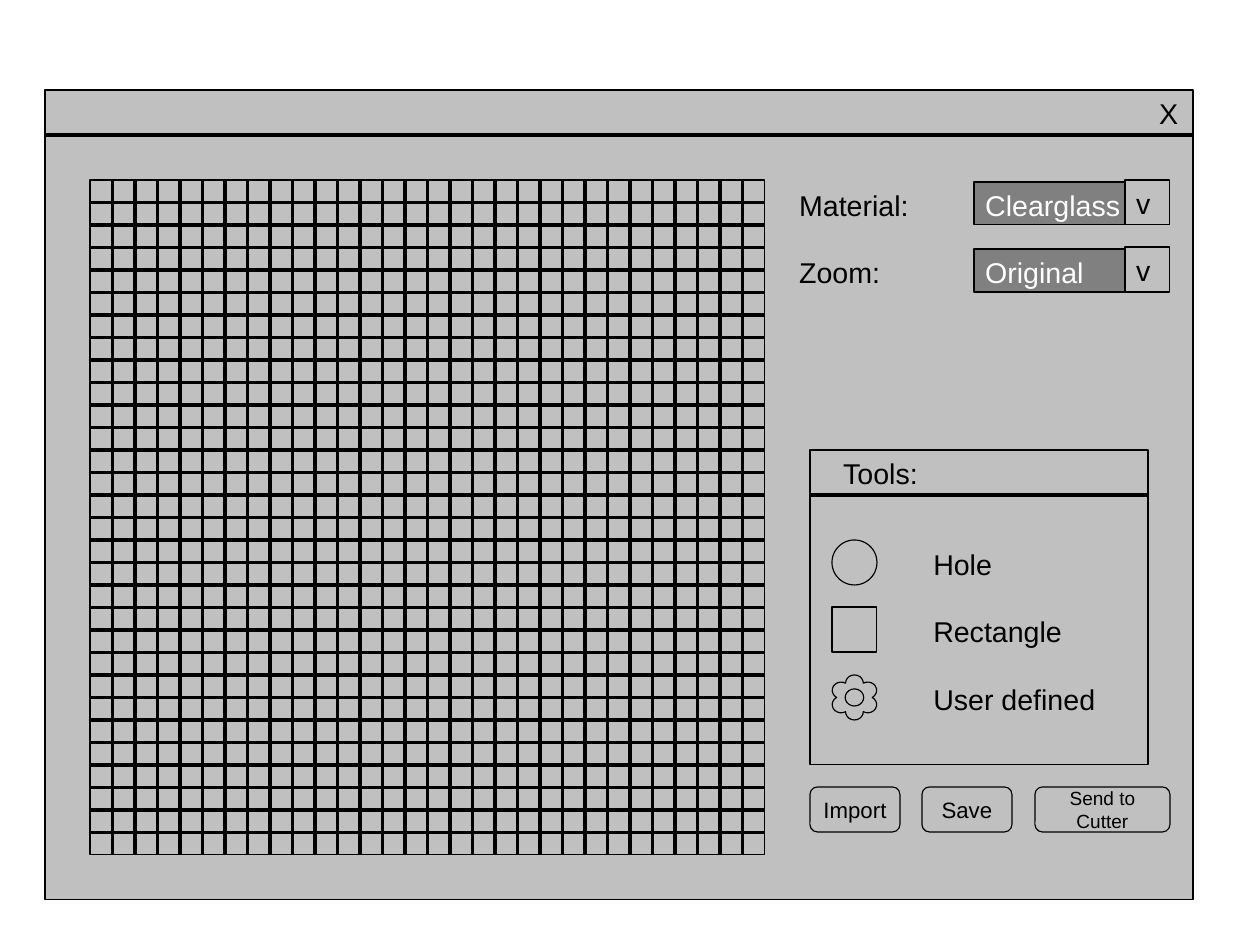
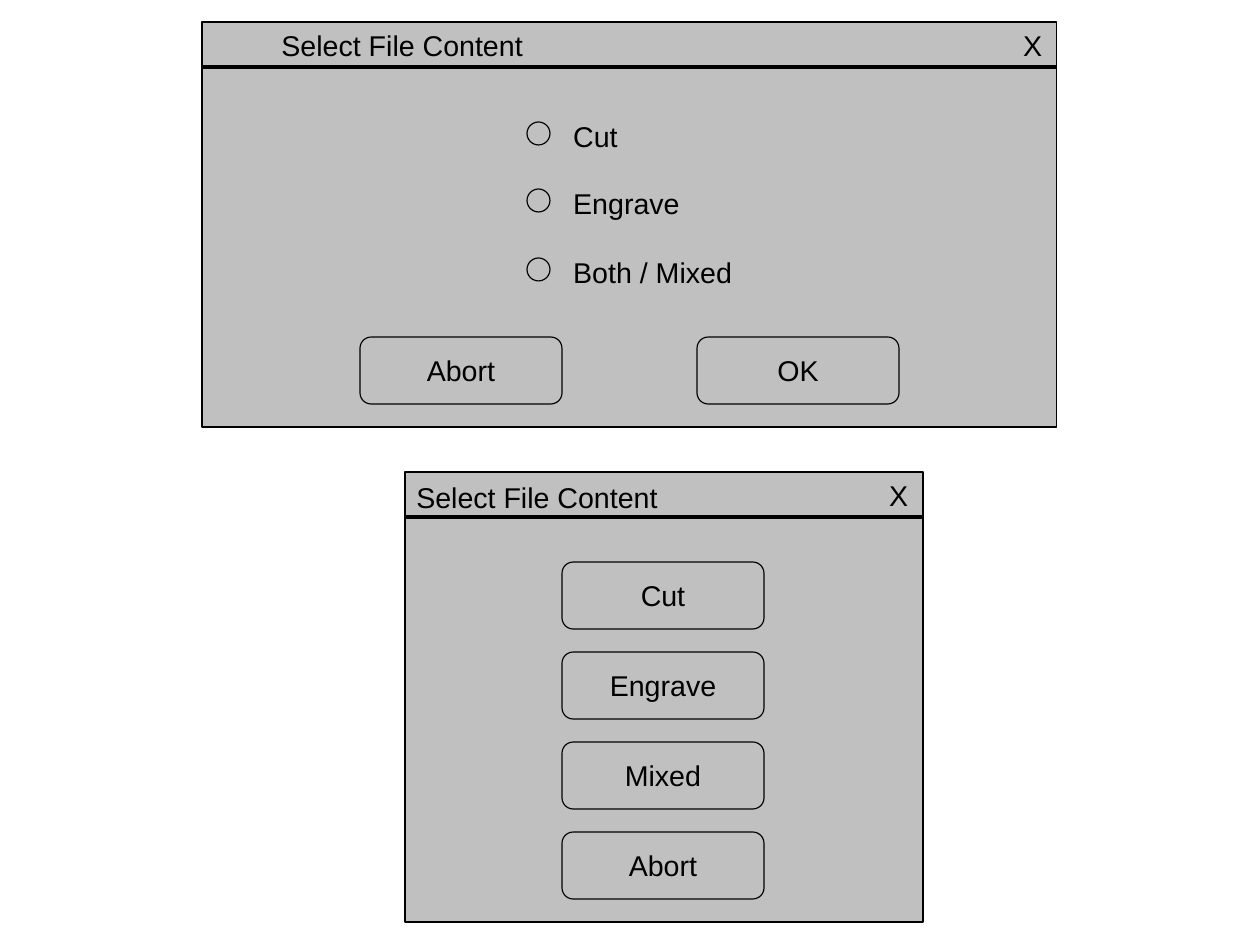
from math import cos, pi, sin

from lxml.etree import SubElement
from pptx import Presentation
from pptx.dml.color import RGBColor
from pptx.enum.shapes import MSO_CONNECTOR as CONN, MSO_SHAPE as SHAPE
from pptx.enum.text import MSO_ANCHOR as ANCHOR, MSO_AUTO_SIZE as FIT, PP_ALIGN as ALIGN
from pptx.oxml.ns import qn
from pptx.util import Pt

PX = 8000
BLACK = RGBColor(0, 0, 0)
WHITE = RGBColor(255, 255, 255)
SILVER = RGBColor(192, 192, 192)
GRAY = RGBColor(128, 128, 128)
FONT = "Arial"
BAR = 45
LINE_H = 43

MAIN_WINDOW = (45, 90, 1148, 810)
GRID_X, GRID_Y, GRID_SIZE, CELLS = 90, 180, 675, 30
CHOICES = [("Material:", "Clearglass", 180), ("Zoom:", "Original", 247)]
TOOLS_PANEL = (810, 450, 338, 315)
ICON_X, ICON = 832, 45
TOOLS = [("Hole", SHAPE.OVAL, 540), ("Rectangle", SHAPE.RECTANGLE, 607),
         ("User defined", None, 675)]
ACTIONS = [("Import", 810, 90, 14), ("Save", 922, 90, 14), ("Send to Cutter", 1035, 135, 12)]

DIALOG_TITLE = "Select File Content"
RADIO_DIALOG = (202, 22, 855, 405)
RADIO_X, RADIO = 527, 23
RADIOS = [("Cut", 122), ("Engrave", 189), ("Both / Mixed", 258)]
RADIO_BUTTONS = [("Abort", 360), ("OK", 697)]
BUTTON_DIALOG = (405, 472, 518, 450)
STACKED_BUTTONS = ["Cut", "Engrave", "Mixed", "Abort"]
BUTTON_W, BUTTON_H, BUTTON_STEP = 202, 67, 90


def emu(*lengths):
    return [round(v * PX) for v in lengths]


def write(shape, text, size=18, color=BLACK, align=ALIGN.LEFT, anchor=ANCHOR.TOP):
    tf = shape.text_frame
    tf.text = text
    tf.word_wrap = True
    tf.auto_size = FIT.NONE
    tf.vertical_anchor = anchor
    p = tf.paragraphs[0]
    p.alignment = align
    font = p.runs[0].font
    font.name, font.size, font.color.rgb = FONT, Pt(size), color
    return tf


def paint(shape, fill=SILVER):
    shape.shadow.inherit = False
    shape.fill.solid()
    shape.fill.fore_color.rgb = fill
    shape.line.color.rgb = BLACK
    shape.line.width = 0
    return shape


def box(s, x, y, w, h, kind=SHAPE.RECTANGLE, fill=SILVER):
    return paint(s.shapes.add_shape(kind, *emu(x, y, w, h)), fill)


def label(s, text, x, y, w):
    write(s.shapes.add_textbox(*emu(x, y, w, LINE_H)), text)


def button(s, text, x, y, w=BUTTON_W, h=BUTTON_H, size=18):
    sp = box(s, x, y, w, h, SHAPE.ROUNDED_RECTANGLE)
    write(sp, text, size, align=ALIGN.CENTER, anchor=ANCHOR.MIDDLE)


def rule(s, x1, y1, x2, y2):
    c = s.shapes.add_connector(CONN.STRAIGHT, *emu(x1, y1, x2, y2))
    c.line.color.rgb = BLACK
    c.line.width = 0
    SubElement(c.element.spPr, qn("a:effectLst"))
    return c


def panel(s, x, y, w, h):
    box(s, x, y, w, h)
    rule(s, x, y + BAR, x + w, y + BAR)


def window(s, x, y, w, h):
    panel(s, x, y, w, h)
    label(s, "X", x + w - BAR, y, BAR)


def grid(s):
    sp = box(s, GRID_X, GRID_Y, GRID_SIZE, GRID_SIZE)
    right, bottom = GRID_X + GRID_SIZE, GRID_Y + GRID_SIZE
    for i in range(1, CELLS):
        offset = i * GRID_SIZE / CELLS
        row = rule(s, GRID_X, GRID_Y + offset, right, GRID_Y + offset)
        col = rule(s, GRID_X + offset, bottom, GRID_X + offset, GRID_Y)
        if 2 * i == CELLS:
            row.begin_connect(sp, 1)
            row.end_connect(sp, 3)
            col.begin_connect(sp, 2)
            col.end_connect(sp, 0)


def flower(s, x, y, size):
    cx, cy, stretch = x + size / 2, y + size / 2, 1.08
    notch = size / 2 / (cos(pi / 6) + 0.5)
    reach, petal, eye = notch * cos(pi / 6), notch / 2, size * 0.19

    def at(dx, dy):
        return tuple(emu(cx + stretch * dx, cy + dy))

    outline = []
    for k in range(6):
        a = pi / 2 + k * pi / 3
        for j in range(-5, 6):
            b = a + j * pi / 10
            outline.append(at(reach * cos(a) + petal * cos(b),
                              reach * sin(a) + petal * sin(b)))
    center = [at(eye * cos(k * pi / 10), eye * sin(k * pi / 10)) for k in range(20)]
    fb = s.shapes.build_freeform(*outline[0])
    fb.add_line_segments(outline[1:], close=True)
    fb.move_to(*center[0])
    fb.add_line_segments(center[1:], close=True)
    paint(fb.convert_to_shape())


def cutter_slide(prs):
    s = prs.slides.add_slide(prs.slide_layouts[6])
    window(s, *MAIN_WINDOW)
    grid(s)
    for name, value, y in CHOICES:
        label(s, name, 788, y + 2, 180)
        field = box(s, 974, y + 2, 151, LINE_H, fill=GRAY)
        write(field, value, color=WHITE).margin_right = 0
        write(box(s, 1125, y, BAR, BAR), "v")
    panel(s, *TOOLS_PANEL)
    label(s, "Tools:", ICON_X, TOOLS_PANEL[1], 270)
    for name, kind, y in TOOLS:
        if kind is None:
            flower(s, ICON_X, y, ICON)
        else:
            box(s, ICON_X, y, ICON, ICON, kind)
        label(s, name, 922, y + 1, 202)
    for text, x, w, size in ACTIONS:
        button(s, text, x, 787, w, BAR, size)


def dialog_slide(prs):
    s = prs.slides.add_slide(prs.slide_layouts[5])
    window(s, *RADIO_DIALOG)
    title = s.shapes.title
    title.left, title.top, title.width, title.height = emu(270, 22, 428, LINE_H)
    write(title, DIALOG_TITLE)
    s.shapes.element.append(title.element)
    for text, y in RADIOS:
        box(s, RADIO_X, y, RADIO, RADIO, SHAPE.OVAL)
        label(s, text, 562, y - 9, 225)
    for text, x in RADIO_BUTTONS:
        button(s, text, x, 337)
    window(s, *BUTTON_DIALOG)
    label(s, DIALOG_TITLE, 405, 474, 428)
    for i, text in enumerate(STACKED_BUTTONS):
        button(s, text, 562, 562 + i * BUTTON_STEP)


def main():
    prs = Presentation()
    prs.slide_width, prs.slide_height = emu(1260, 945)
    cutter_slide(prs)
    dialog_slide(prs)
    prs.save("out.pptx")


if __name__ == "__main__":
    main()
